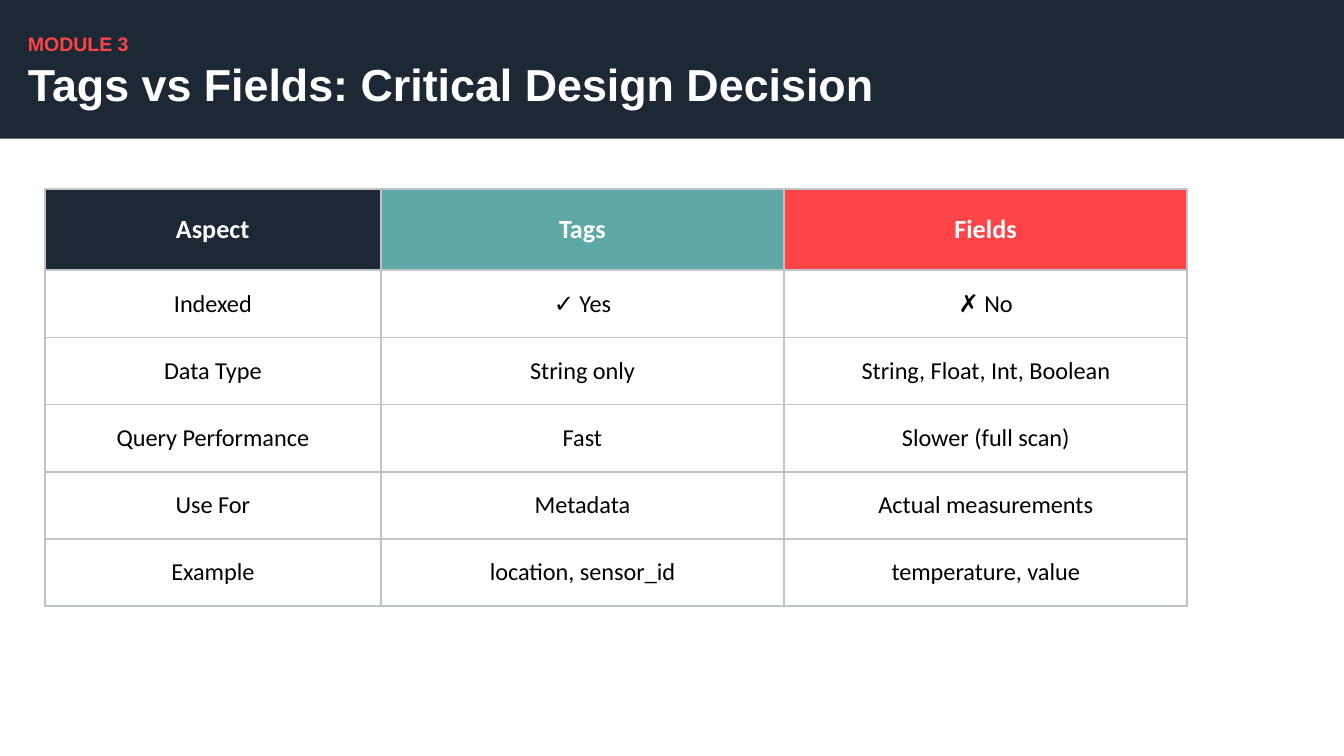
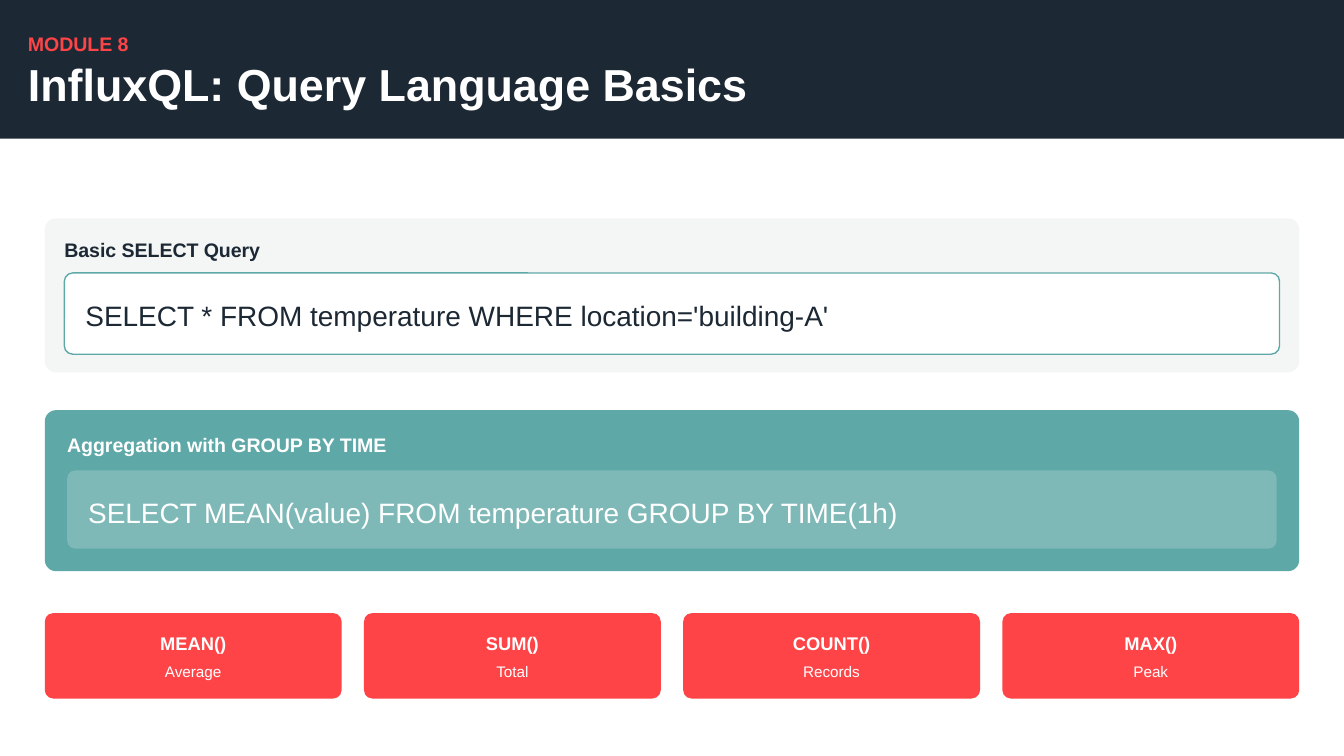
import pptx
import pptx.dml.color
import pptx.enum.shapes
import pptx.enum.text
import pptx.oxml
import pptx.oxml.ns
import pptx.util

PX = 9525
NAVY, TEAL, RED = "1C2833", "5EA8A7", "FE4447"
WHITE, BLACK, PALE, BORDER = "FFFFFF", "000000", "F4F6F6", "BDC3C7"
SHAPES = pptx.enum.shapes.MSO_SHAPE
ALIGN = pptx.enum.text.PP_ALIGN
ANCHOR = pptx.enum.text.MSO_ANCHOR


def rgb(value):
    return pptx.dml.color.RGBColor.from_string(value)


def px(*lengths):
    return [length * PX for length in lengths]


class Painter:
    def __init__(self):
        self.deck = pptx.Presentation()
        self.deck.slide_width, self.deck.slide_height = px(960, 540)
        self.page = None

    def start_page(self, module, title, title_width):
        self.page = self.deck.slides.add_slide(self.deck.slide_layouts[5])
        heading = self.page.shapes.title
        band = self.block((0, 0, 960, 99), NAVY)
        heading.element.addprevious(band.element)
        self.text((20, 20, 939, 19), module, 10.5, RED, 14.7, bold=True)
        heading.left, heading.top, heading.width, heading.height = px(20, 43, title_width, 36)
        self.fill_text(heading, title, 24, WHITE, 26.7, bold=True, before=3)

    def block(self, area, fill, radius=0, line=None, opacity=None):
        kind = SHAPES.ROUNDED_RECTANGLE if radius else SHAPES.RECTANGLE
        shape = self.page.shapes.add_shape(kind, *px(*area))
        shape.shadow.inherit = False
        if radius:
            shape.adjustments[0] = radius / min(area[2:])
        shape.fill.solid()
        shape.fill.fore_color.rgb = rgb(fill)
        if opacity:
            color = shape.element.spPr.find(".//" + pptx.oxml.ns.qn("a:srgbClr"))
            color.append(pptx.oxml.parse_xml(
                f'<a:alpha {pptx.oxml.ns.nsdecls("a")} val="{opacity * 1000}"/>'))
        if line:
            shape.line.color.rgb = rgb(line)
            shape.line.width = pptx.util.Pt(0.75)
        else:
            shape.line.fill.background()
        return shape

    def style(self, para, size, color, bold=False, align=ALIGN.LEFT, face="Arial"):
        para.alignment = align
        para.font.name = face
        para.font.size = pptx.util.Pt(size)
        para.font.bold = bold
        para.font.color.rgb = rgb(color)

    def fill_text(self, box, words, size, color, leading, bold=False,
                  align=ALIGN.LEFT, before=0, after=0):
        frame = box.text_frame
        frame.word_wrap = True
        frame.auto_size = pptx.enum.text.MSO_AUTO_SIZE.NONE
        frame.vertical_anchor = ANCHOR.TOP
        frame.margin_left = frame.margin_top = frame.margin_right = frame.margin_bottom = 0
        para = frame.paragraphs[0]
        para.text = words
        para.line_spacing = pptx.util.Pt(leading)
        para.space_before = pptx.util.Pt(before)
        para.space_after = pptx.util.Pt(after)
        self.style(para, size, color, bold, align)

    def text(self, area, *content, **options):
        box = self.page.shapes.add_textbox(*px(*area))
        self.fill_text(box, *content, **options)

    def border(self, cell):
        properties = cell._tc.get_or_add_tcPr()
        for index, side in enumerate("LRTB"):
            properties.insert(index, pptx.oxml.parse_xml(
                f'<a:ln{side} {pptx.oxml.ns.nsdecls("a")} w="12700"><a:solidFill>'
                f'<a:srgbClr val="{BORDER}"/></a:solidFill></a:ln{side}>'))

    def table(self, area, widths, heights, header_fills, rows):
        grid = self.page.shapes.add_table(len(rows), len(widths), *px(*area)).table
        grid.first_row = grid.horz_banding = False
        for column, width in zip(grid.columns, px(*widths)):
            column.width = width
        for row, height in zip(grid.rows, px(*heights)):
            row.height = height
        for row_index, row in enumerate(rows):
            for column_index, words in enumerate(row):
                cell = grid.cell(row_index, column_index)
                cell.text = words
                cell.vertical_anchor = ANCHOR.MIDDLE
                para = cell.text_frame.paragraphs[0]
                if row_index == 0:
                    cell.fill.solid()
                    cell.fill.fore_color.rgb = rgb(header_fills[column_index])
                    self.style(para, 14, WHITE, True, ALIGN.CENTER, "Calibri")
                else:
                    cell.fill.background()
                    self.style(para, 13, BLACK, False, ALIGN.CENTER, "Calibri")
                self.border(cell)

    def query(self, panel, inset, label, code, code_area, panel_fill, ink,
              gap, line=None, opacity=None):
        left, top, width, height = panel
        code_left, code_top, code_width, code_height = code_area
        self.block(panel, panel_fill, radius=8)
        self.text((left + inset, top + inset, width - 12, 16), label, 10.5, ink, 12.6,
                  bold=True, after=gap)
        self.block(code_area, WHITE, radius=6, line=line, opacity=opacity)
        self.text((code_left + 15, code_top + 14, code_width - 14, 28), code, 15, ink, 21)

    def function_card(self, left, name, meaning):
        self.block((left, 438, 212, 61), RED, radius=6)
        self.text((left + 10, 449, 192, 18), name, 9.8, WHITE, 13.7,
                  bold=True, align=ALIGN.CENTER)
        self.text((left + 10, 471, 192, 15), meaning, 8.2, WHITE, 11.6,
                  align=ALIGN.CENTER, before=3)


def main():
    painter = Painter()

    painter.start_page("MODULE 3", "Tags vs Fields: Critical Design Decision", 617)
    painter.table((32, 135, 816, 298), (240, 288, 288), [58] + [48] * 5, (NAVY, TEAL, RED), [
        ("Aspect", "Tags", "Fields"),
        ("Indexed", "✓ Yes", "✗ No"),
        ("Data Type", "String only", "String, Float, Int, Boolean"),
        ("Query Performance", "Fast", "Slower (full scan)"),
        ("Use For", "Metadata", "Actual measurements"),
        ("Example", "location, sensor_id", "temperature, value"),
    ])

    painter.start_page("MODULE 8", "InfluxQL: Query Language Basics", 524)
    painter.query((32, 156, 896, 110), 14, "Basic SELECT Query",
                  "SELECT * FROM temperature WHERE location='building-A'",
                  (46, 195, 868, 58), PALE, NAVY, 6, line=TEAL)
    painter.query((32, 293, 896, 115), 16, "Aggregation with GROUP BY TIME",
                  "SELECT MEAN(value) FROM temperature GROUP BY TIME(1h)",
                  (48, 336, 864, 56), TEAL, WHITE, 7.5, opacity=20)
    functions = [("MEAN()", "Average"), ("SUM()", "Total"),
                 ("COUNT()", "Records"), ("MAX()", "Peak")]
    for index, (name, meaning) in enumerate(functions):
        painter.function_card(32 + 228 * index, name, meaning)

    painter.deck.save("out.pptx")


if __name__ == "__main__":
    main()
